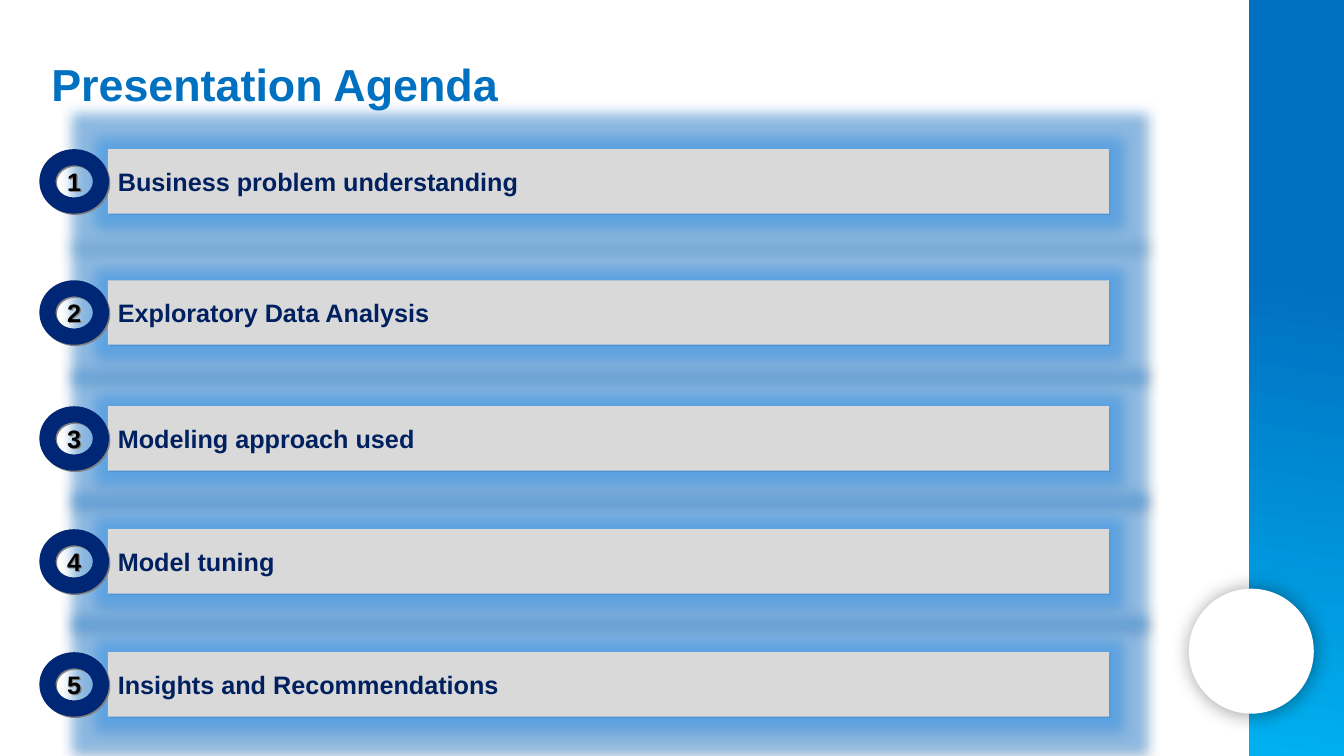
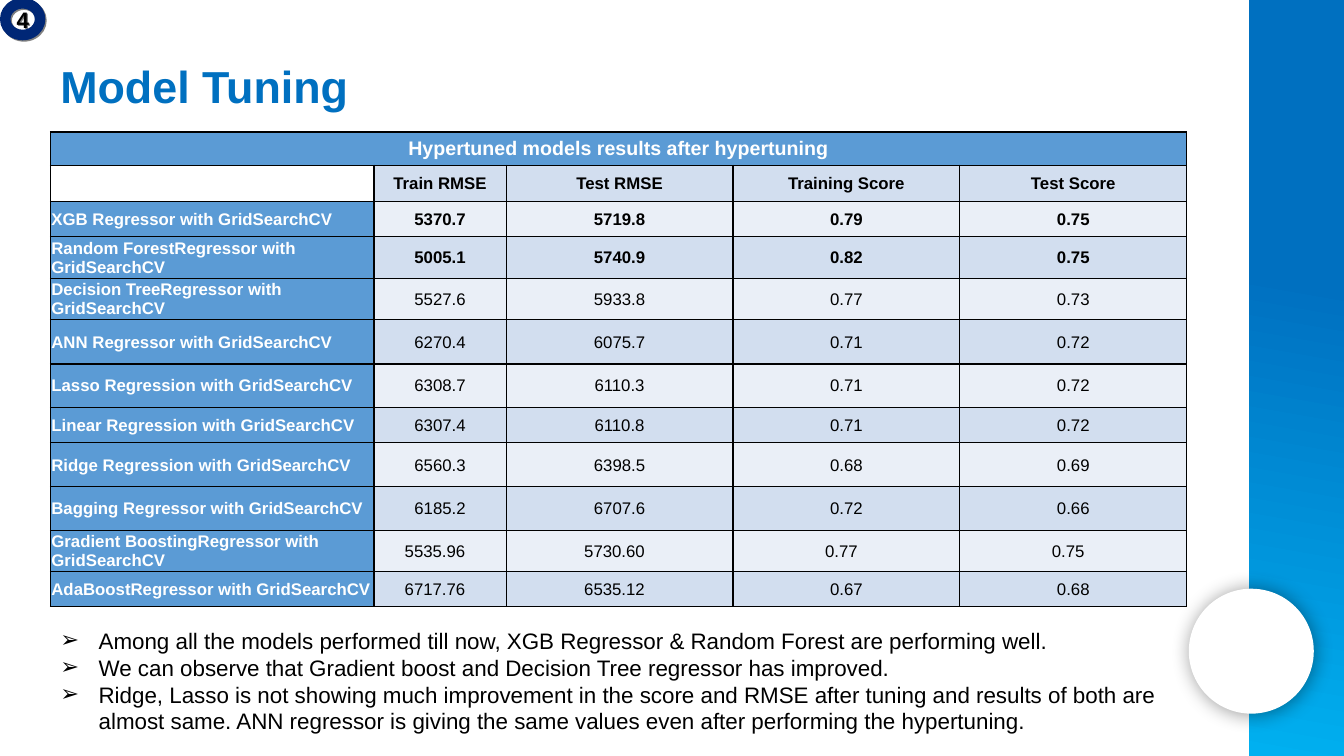
import pptx
import pptx.dml.color
import pptx.enum.dml
import pptx.enum.shapes
import pptx.enum.text
import pptx.oxml
import pptx.oxml.ns
import pptx.util

RGBColor = pptx.dml.color.RGBColor
Pt = pptx.util.Pt
Shapes = pptx.enum.shapes.MSO_SHAPE
Align = pptx.enum.text.PP_ALIGN
MIDDLE = pptx.enum.text.MSO_ANCHOR.MIDDLE

BLUE = RGBColor(0x00, 0x70, 0xC0)
SKY = RGBColor(0x00, 0xB0, 0xF0)
NAVY = RGBColor(0x00, 0x20, 0x60)
RING = RGBColor(0x00, 0x27, 0x76)
BAR_GRAY = RGBColor(0xD9, 0xD9, 0xD9)
SHADOW_GRAY = RGBColor(0x80, 0x80, 0x80)
HEADER_BLUE = RGBColor(0x5B, 0x9B, 0xD5)
DARK_STRIPE = RGBColor(0xD2, 0xDE, 0xEF)
LIGHT_STRIPE = RGBColor(0xEA, 0xEF, 0xF7)
WHITE = RGBColor(0xFF, 0xFF, 0xFF)
BLACK = RGBColor(0x00, 0x00, 0x00)

SLIDE_WIDTH = pptx.util.Inches(13.33)
SLIDE_HEIGHT = pptx.util.Inches(7.5)
COLUMN = SLIDE_WIDTH / 100
ROW = SLIDE_HEIGHT / 100

TITLE_FONT = {"size": Pt(32), "bold": True, "name": "Arial"}
AGENDA_FONT = {"size": Pt(18), "bold": True, "name": "Arial"}
BADGE_FONT = {"size": Pt(16), "bold": True, "name": "Arial"}
BODY_FONT = {"size": Pt(16), "bold": False, "name": "Arial"}
CAPTION_FONT = {"size": Pt(14), "bold": True, "name": "Arial"}
STRONG_CELL_FONT = {"size": Pt(12), "bold": True, "name": "Arial"}
CELL_FONT = {"size": Pt(12), "bold": False, "name": "Arial"}

TENTH = pptx.util.Inches(0.1)
SHAPE_FRAME = {
    "margin_left": TENTH, "margin_right": TENTH, "margin_top": TENTH,
    "margin_bottom": TENTH, "vertical_anchor": MIDDLE, "word_wrap": True,
}
HAIR = pptx.util.Inches(0.01)
CELL_FRAME = {
    "margin_left": HAIR, "margin_right": HAIR, "margin_top": HAIR,
    "margin_bottom": 0, "vertical_anchor": MIDDLE,
}
SHIFTED_FRAME = {**CELL_FRAME, "margin_right": 11 * HAIR}
HEADER_FRAME = {**CELL_FRAME, "margin_left": 7 * HAIR, "margin_right": 7 * HAIR, "margin_top": 0}

AGENDA = [
    (19.73, "Business problem understanding"),
    (37.07, "Exploratory Data Analysis"),
    (53.73, "Modeling approach used"),
    (70, "Model tuning"),
    (86.27, "Insights and Recommendations"),
]
CAPTION = "Hypertuned models results after hypertuning"
HEADINGS = ["", "Train RMSE", "Test RMSE", "Training Score", "Test Score"]
RESULTS = [
    ("XGB Regressor with GridSearchCV", "5370.7", "5719.8", "0.79", "0.75"),
    ("Random ForestRegressor with GridSearchCV", "5005.1", "5740.9", "0.82", "0.75"),
    ("Decision TreeRegressor with GridSearchCV", "5527.6", "5933.8", "0.77", "0.73"),
    ("ANN Regressor with GridSearchCV", "6270.4", "6075.7", "0.71", "0.72"),
    ("Lasso Regression with GridSearchCV", "6308.7", "6110.3", "0.71", "0.72"),
    ("Linear Regression with GridSearchCV", "6307.4", "6110.8", "0.71", "0.72"),
    ("Ridge Regression with GridSearchCV", "6560.3", "6398.5", "0.68", "0.69"),
    ("Bagging Regressor with GridSearchCV", "6185.2", "6707.6", "0.72", "0.66"),
    ("Gradient BoostingRegressor with GridSearchCV", "5535.96", "5730.60", "0.77", "0.75"),
    ("AdaBoostRegressor with GridSearchCV", "6717.76", "6535.12", "0.67", "0.68"),
]
BEST_MODELS = 2
SHIFTED_VALUES = {8: 4, 9: 2}
COLUMN_SHARES = [24.08, 9.83, 16.88, 16.88, 16.88]
ROW_SHARES = [4.4, 4.8, 4.67, 4.67, 4.67, 5.87, 5.73, 4.67, 5.87, 5.73, 4.67, 4.67]
FINDINGS = [
    "Among all the models performed till now, XGB Regressor & Random Forest are performing well.",
    "We can observe that Gradient boost and Decision Tree regressor has improved.",
    "Ridge, Lasso is not showing much improvement in the score and RMSE after tuning and results "
    "of both are almost same. ANN regressor is giving the same values even after performing the hypertuning.",
]


def apply_format(target, values):
    for name, value in values.items():
        setattr(target, name, value)


def grid(left, top, width, height):
    return [round(size) for size in (left * COLUMN, top * ROW, width * COLUMN, height * ROW)]


def make_element(markup):
    return pptx.oxml.parse_xml(markup.replace(">", f" {pptx.oxml.ns.nsdecls('a')}>", 1))


def shadow_markup(color, alpha, blur, distance, angle):
    return (
        f'<a:outerShdw blurRad="{Pt(blur)}" dist="{Pt(distance)}" dir="{angle * 60000}" '
        f'algn="ctr" rotWithShape="0"><a:srgbClr val="{color}">'
        f'<a:alpha val="{alpha * 1000}"/></a:srgbClr></a:outerShdw>'
    )


HARD_SHADOW = shadow_markup(SHADOW_GRAY, 100, 0, 1.4, 45)
SOFT_SHADOW = shadow_markup(BLACK, 40, 14, 1, 43)
GLOW = (
    f'<a:glow rad="{Pt(18)}"><a:srgbClr val="{HEADER_BLUE}">'
    '<a:satMod val="175000"/><a:alpha val="40000"/></a:srgbClr></a:glow>'
)


def add_effects(shape, *effects):
    effect_list = shape._element.spPr.find(pptx.oxml.ns.qn("a:effectLst"))
    for markup in effects:
        effect_list.append(make_element(markup))


def add_plain_shape(slide, kind, box, color=None):
    shape = slide.shapes.add_shape(kind, *grid(*box))
    shape.shadow.inherit = False
    shape.line.fill.background()
    if color is not None:
        shape.fill.solid()
        shape.fill.fore_color.rgb = color
    return shape


def write(paragraph, text, font, color, alignment=Align.LEFT):
    paragraph.alignment = alignment
    run = paragraph.add_run()
    run.text = text
    apply_format(run.font, font)
    run.font.color.rgb = color
    return run


def add_text_box(slide, box):
    frame = slide.shapes.add_textbox(*grid(*box)).text_frame
    frame.word_wrap = True
    return frame


def add_title(slide, text, left, top, width):
    frame = add_text_box(slide, (left, top, width, 8.53))
    write(frame.paragraphs[0], text, TITLE_FONT, BLUE)


def add_badge(slide, number, box, font):
    badge = add_plain_shape(slide, Shapes.DONUT, box, RING)
    add_effects(badge, HARD_SHADOW)
    apply_format(badge.text_frame, SHAPE_FRAME)
    run = write(badge.text_frame.paragraphs[0], str(number), font, BLACK, Align.CENTER)
    fill = run.font._element.find(pptx.oxml.ns.qn("a:solidFill"))
    fill.addnext(make_element(f"<a:effectLst>{HARD_SHADOW}</a:effectLst>"))


def add_agenda_item(slide, number, top, text):
    bar = add_plain_shape(slide, Shapes.RECTANGLE, (8.03, top, 74.49, 8.53), BAR_GRAY)
    add_effects(bar, GLOW, HARD_SHADOW)
    apply_format(bar.text_frame, SHAPE_FRAME)
    write(bar.text_frame.paragraphs[0], text, AGENDA_FONT, NAVY)
    add_badge(slide, number, (2.93, top, 5.18, 8.53), AGENDA_FONT)


def fill_cell(cell, text, font, color, fill, frame, alignment=Align.CENTER):
    apply_format(cell, frame)
    properties = cell._tc.get_or_add_tcPr()
    for side in "LRTB":
        properties.append(make_element(
            f'<a:ln{side} w="{Pt(1)}"><a:solidFill><a:srgbClr val="{BLACK}"/>'
            f"</a:solidFill></a:ln{side}>"
        ))
    cell.fill.solid()
    cell.fill.fore_color.rgb = fill
    write(cell.text_frame.paragraphs[0], text, font, color, alignment)


def add_results_table(slide):
    box = grid(3.75, 17.47, sum(COLUMN_SHARES), sum(ROW_SHARES))
    table = slide.shapes.add_table(len(ROW_SHARES), len(COLUMN_SHARES), *box).table
    apply_format(table, {"first_row": False, "horz_banding": False})
    for column, share in zip(table.columns, COLUMN_SHARES):
        column.width = round(share * COLUMN)
    for row, share in zip(table.rows, ROW_SHARES):
        row.height = round(share * ROW)

    for index, heading in enumerate(HEADINGS):
        caption = "" if index else CAPTION
        fill_cell(table.cell(0, index), caption, CAPTION_FONT, WHITE, HEADER_BLUE, HEADER_FRAME)
        fill = DARK_STRIPE if heading else WHITE
        fill_cell(table.cell(1, index), heading, STRONG_CELL_FONT, BLACK, fill, HEADER_FRAME)
    table.cell(0, 0).merge(table.cell(0, len(HEADINGS) - 1))

    for index, (model, *values) in enumerate(RESULTS):
        cells = table.rows[index + 2].cells
        fill_cell(cells[0], model, STRONG_CELL_FONT, WHITE, HEADER_BLUE, CELL_FRAME, Align.LEFT)
        font = STRONG_CELL_FONT if index < BEST_MODELS else CELL_FONT
        stripe = DARK_STRIPE if index % 2 else LIGHT_STRIPE
        for position, value in enumerate(values):
            shifted = position < SHIFTED_VALUES.get(index, 0)
            frame = SHIFTED_FRAME if shifted else CELL_FRAME
            fill_cell(cells[position + 1], value, font, BLACK, stripe, frame)


def add_findings(slide):
    frame = add_text_box(slide, (3.75, 82.27, sum(COLUMN_SHARES), 15.73))
    indent = pptx.util.Inches(0.38)
    for index, finding in enumerate(FINDINGS):
        paragraph = frame.add_paragraph() if index else frame.paragraphs[0]
        write(paragraph, finding, BODY_FONT, BLACK)
        properties = paragraph._p.get_or_add_pPr()
        properties.set("marL", str(indent))
        properties.set("indent", str(-indent))
        properties.append(make_element('<a:buFont typeface="Arial"></a:buFont>'))
        properties.append(make_element('<a:buChar char="➢"></a:buChar>'))


def decorate_layout(layout, slide):
    band = add_plain_shape(slide, Shapes.RECTANGLE, (92.95, 0, 7.05, 100))
    band.fill.gradient()
    band.fill.gradient_angle = 260
    for stop, position, color in zip(band.fill.gradient_stops, (0.37, 1), (BLUE, SKY)):
        stop.position = position
        stop.color.rgb = color
    circle = add_plain_shape(slide, Shapes.OVAL, (88.45, 77.87, 9.3, 16.53), WHITE)
    add_effects(circle, SOFT_SHADOW)
    for shape in (band, circle):
        layout.shapes._spTree.append(shape._element)


def build_agenda(slide):
    for number, (top, text) in enumerate(AGENDA, start=1):
        add_agenda_item(slide, number, top, text)
    add_title(slide, "Presentation Agenda", 3.08, 6.8, 69.09)


def build_tuning(slide):
    add_title(slide, "Model Tuning", 3.75, 7.07, 79.97)
    add_results_table(slide)
    add_findings(slide)
    add_badge(slide, 4, (0, -0.27, 3.38, 5.6), BADGE_FONT)


def main():
    presentation = pptx.Presentation()
    apply_format(presentation, {"slide_width": SLIDE_WIDTH, "slide_height": SLIDE_HEIGHT})
    layout = presentation.slide_layouts[6]
    agenda = presentation.slides.add_slide(layout)
    decorate_layout(layout, agenda)
    build_agenda(agenda)
    build_tuning(presentation.slides.add_slide(layout))
    presentation.save("out.pptx")


if __name__ == "__main__":
    main()
